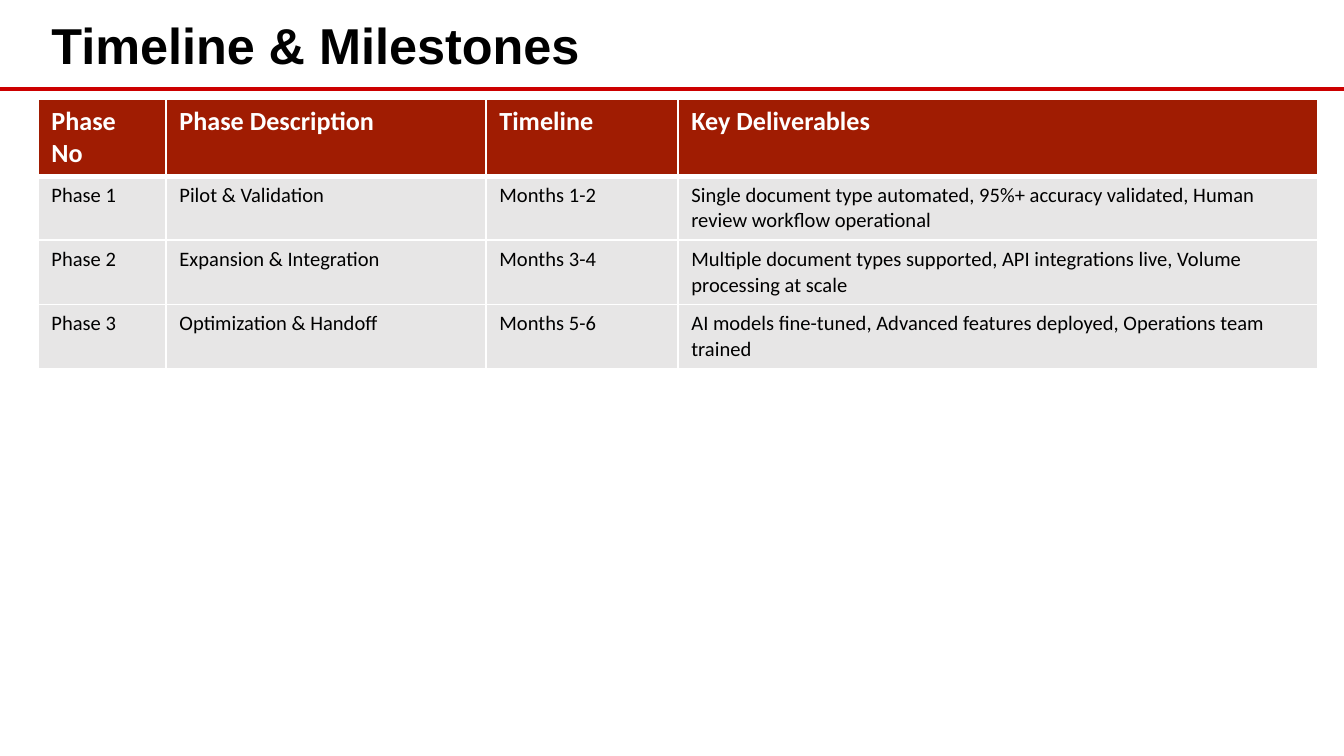
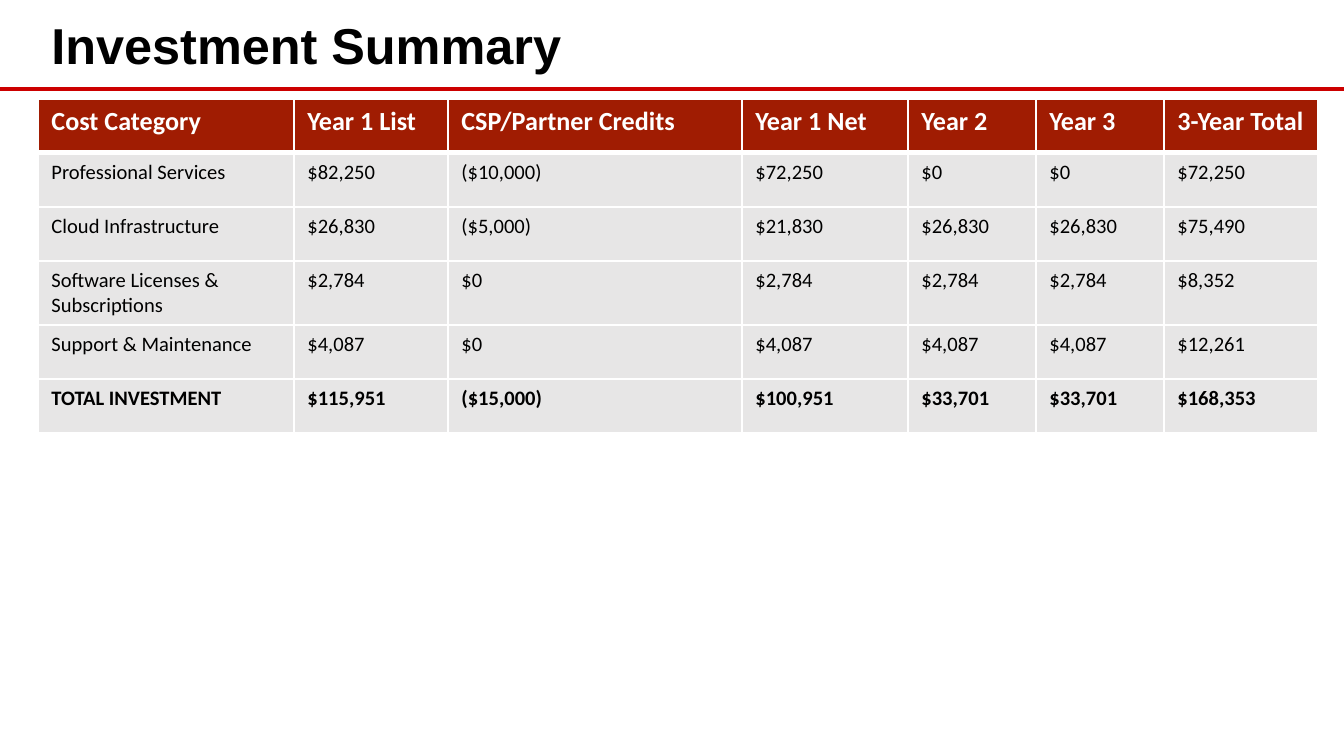
from lxml import etree
from pptx import Presentation
from pptx.dml.color import RGBColor
from pptx.enum.shapes import MSO_CONNECTOR
from pptx.enum.text import MSO_ANCHOR, MSO_AUTO_SIZE, PP_ALIGN
from pptx.oxml.ns import qn
from pptx.util import Emu, Pt

STRAIGHT = MSO_CONNECTOR.STRAIGHT
LEFT = PP_ALIGN.LEFT
MIDDLE = MSO_ANCHOR.MIDDLE
NO_AUTOFIT = MSO_AUTO_SIZE.NONE

# Shared measures (px) and style
EMU_PER_PX = 914400 / 134.4
SLIDE_W, SLIDE_H = 1344, 756
MARGIN, CONTENT_W = 38, 1280
RULE_Y, TABLE_Y, ROW_H = 89, 99, 54
COLORS = {
    "rule": "CC0000",
    "header": "A01C02",
    "row": "E7E6E6",
    "text": "000000",
    "white": "FFFFFF",
}

PHASES = [
    ["Phase No", "Phase Description", "Timeline", "Key Deliverables"],
    ["Phase 1", "Pilot & Validation", "Months 1-2",
     "Single document type automated, 95%+ accuracy validated, "
     "Human review workflow operational"],
    ["Phase 2", "Expansion & Integration", "Months 3-4",
     "Multiple document types supported, API integrations live, "
     "Volume processing at scale"],
    ["Phase 3", "Optimization & Handoff", "Months 5-6",
     "AI models fine-tuned, Advanced features deployed, "
     "Operations team trained"],
]
COSTS = [
    ["Cost Category", "Year 1 List", "CSP/Partner Credits", "Year 1 Net",
     "Year 2", "Year 3", "3-Year Total"],
    ["Professional Services", "$82,250", "($10,000)", "$72,250",
     "$0", "$0", "$72,250"],
    ["Cloud Infrastructure", "$26,830", "($5,000)", "$21,830",
     "$26,830", "$26,830", "$75,490"],
    ["Software Licenses & Subscriptions", "$2,784", "$0", "$2,784",
     "$2,784", "$2,784", "$8,352"],
    ["Support & Maintenance", "$4,087", "$0", "$4,087",
     "$4,087", "$4,087", "$12,261"],
    ["TOTAL INVESTMENT", "$115,951", "($15,000)", "$100,951",
     "$33,701", "$33,701", "$168,353"],
]


def px(n):
    return Emu(round(n * EMU_PER_PX))


def rgb(name):
    return RGBColor.from_string(COLORS[name])


def write(tf, text, size=11, font="Calibri", color="text", bold=False):
    p = tf.paragraphs[0]
    p.alignment = LEFT
    r = p.add_run()
    r.text = text
    r.font.size, r.font.name, r.font.bold = Pt(size), font, bold
    r.font.color.rgb = rgb(color)


def add_rule(s):
    line = s.shapes.add_connector(STRAIGHT, 0, px(RULE_Y), px(SLIDE_W), px(RULE_Y))
    line.line.color.rgb = rgb("rule")
    line.line.width = Pt(2.25)
    etree.SubElement(line._element.spPr, qn("a:effectLst"))


def set_title(s, text):
    sp = s.shapes.title
    sp.left, sp.top, sp.width, sp.height = px(MARGIN), px(5), px(CONTENT_W), px(78)
    tf = sp.text_frame
    tf.auto_size = NO_AUTOFIT
    tf.vertical_anchor = MIDDLE
    write(tf, text, size=27, font="Arial", bold=True)


def set_borders(cell, top=1, bottom=1):
    tc_pr = cell._tc.get_or_add_tcPr()
    for side, width in (("L", 1), ("R", 1), ("T", top), ("B", bottom)):
        ln = etree.SubElement(tc_pr, qn(f"a:ln{side}"), w=str(Pt(width)))
        fill = etree.SubElement(ln, qn("a:solidFill"))
        etree.SubElement(fill, qn("a:srgbClr"), val=COLORS["white"])


def add_table(s, rows, widths, total_row=False):
    frame = s.shapes.add_table(len(rows), len(widths), px(MARGIN), px(TABLE_Y),
                               px(sum(widths)), px(ROW_H * len(rows)))
    table = frame.table
    for column, width in zip(table.columns, widths):
        column.width = px(width)
    for i, row in enumerate(rows):
        table.rows[i].height = px(ROW_H)
        header = i == 0
        total = total_row and i == len(rows) - 1
        for j, text in enumerate(row):
            cell = table.cell(i, j)
            # The header is set off by a thicker line below it
            set_borders(cell, top=3 if i == 1 else 1, bottom=3 if header else 1)
            cell.fill.solid()
            cell.fill.fore_color.rgb = rgb("header" if header else "row")
            write(cell.text_frame, text, size=14 if header else 11,
                  color="white" if header else "text", bold=header or total)


def add_slide(prs, title):
    s = prs.slides.add_slide(prs.slide_layouts.get_by_name("Title Only"))
    add_rule(s)
    set_title(s, title)
    return s


def main():
    prs = Presentation()
    prs.slide_width, prs.slide_height = px(SLIDE_W), px(SLIDE_H)

    # Timeline
    s = add_slide(prs, "Timeline & Milestones")
    add_table(s, PHASES, [128, 320, 192, 640])

    # Investment
    s = add_slide(prs, "Investment Summary")
    add_table(s, COSTS, [256, 154, 294, 166, 128, 128, 154], total_row=True)

    prs.save("out.pptx")


if __name__ == "__main__":
    main()
